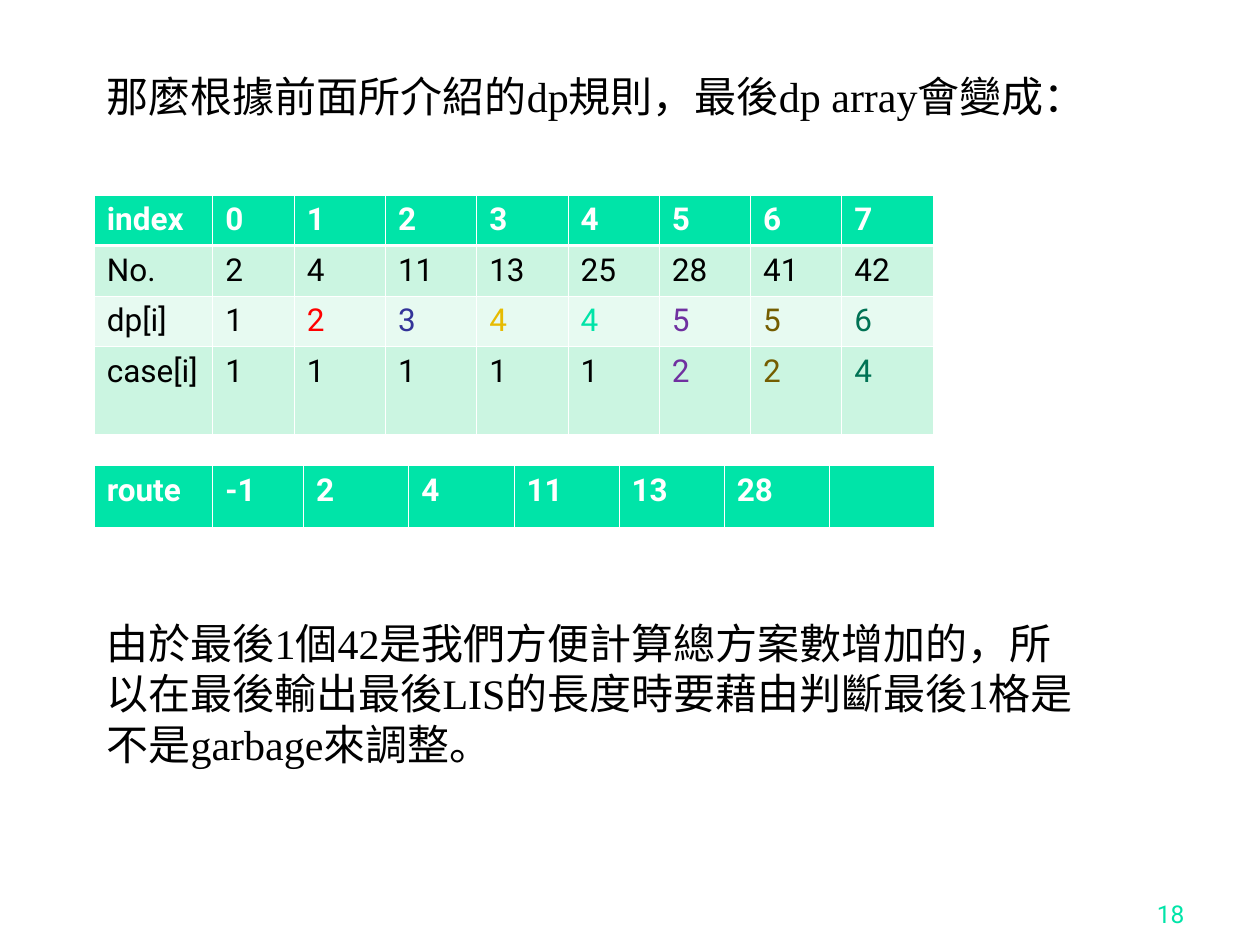
from pptx import Presentation
from pptx import util as u
from pptx.dml import color
from pptx.enum import text
from pptx.oxml import ns
from lxml import etree


class Theme:
    serif, sans = "Times New Roman", "Roboto"
    body, cell, small = 24, 18, 14
    black, white, green = "000000", "FFFFFF", "00E4A8"
    band, band_light = "CBF5E1", "E7FAF1"
    red, blue, gold = "FF0000", "333399", "E7BB01"
    purple, brown, teal = "7030A0", "745D00", "007254"
    thin, thick = 0.45, 1.47


def write(p, words, face, size, rgb, bold=False):
    p.text = words
    f = p.font
    f.name, f.size, f.bold = face, u.Pt(size), bold
    f.color.rgb = color.RGBColor.from_string(rgb)


def make_table(slide, top, widths, heights, rows, fills, inks):
    gf = slide.shapes.add_table(len(rows), len(widths), left, u.Cm(top),
                                u.Cm(sum(widths)), u.Cm(sum(heights)))
    table = gf.table
    for column, width in zip(table.columns, widths):
        column.width = u.Cm(width)
    for i, (row, height) in enumerate(zip(rows, heights)):
        table.rows[i].height = u.Cm(height)
        for j, words in enumerate(row):
            cell = table.cell(i, j)
            # The line under the header row is thicker
            tc_pr = cell._tc.get_or_add_tcPr()
            for side in "LRTB":
                heavy = (side, i) in (("B", 0), ("T", 1))
                width = Theme.thick if heavy else Theme.thin
                ln = etree.SubElement(tc_pr, ns.qn(f"a:ln{side}"), w=str(u.Pt(width)))
                line_fill = etree.SubElement(ln, ns.qn("a:solidFill"))
                etree.SubElement(line_fill, ns.qn("a:srgbClr"), val=Theme.white)
            cell.fill.solid()
            cell.fill.fore_color.rgb = color.RGBColor.from_string(fills[i])
            ink = Theme.white if i == 0 else inks.get((i, j), Theme.black)
            write(cell.text_frame.paragraphs[0], words, Theme.sans, Theme.cell, ink, i == 0)


prs = Presentation()
prs.slide_width, prs.slide_height = u.Cm(25.4), u.Cm(19.05)
s = prs.slides.add_slide(prs.slide_layouts[5])
left = u.Cm(1.9)

# Title
sp = s.shapes.title
sp.left, sp.top, sp.width, sp.height = left, u.Cm(1.4), u.Cm(21.8), u.Cm(2.13)
tf = sp.text_frame
tf.vertical_anchor = text.MSO_ANCHOR.TOP
p = tf.paragraphs[0]
p.alignment = text.PP_ALIGN.LEFT
p.line_spacing = 0.9
write(p, "那麼根據前面所介紹的dp規則，最後dp array會變成：", Theme.serif, Theme.body, Theme.black)

# Table of dp values; matching colours link dp[i] and case[i]
dp_inks = [Theme.red, Theme.blue, Theme.gold, Theme.green,
           Theme.purple, Theme.brown, Theme.teal]
inks = {(2, j): ink for j, ink in enumerate(dp_inks, 2)}
inks.update({(3, j): inks[2, j] for j in (6, 7, 8)})
make_table(
    s, 3.93, [2.39, 1.64] + [1.84] * 7, [1.02, 1.02, 1.02, 1.76],
    [["index", *"01234567"],
     ["No.", "2", "4", "11", "13", "25", "28", "41", "42"],
     ["dp[i]", *"12344556"],
     ["case[i]", *"11111224"]],
    [Theme.green, Theme.band, Theme.band_light, Theme.band], inks)

# Table of the route
make_table(s, 9.39, [2.39, 1.83] + [2.12] * 6, [1.25],
           [["route", "-1", "2", "4", "11", "13", "28", ""]], [Theme.green], {})

# Closing remark
tf = s.shapes.add_textbox(left, u.Cm(12.32), u.Cm(20.19), u.Cm(3.3)).text_frame
tf.word_wrap = True
write(tf.paragraphs[0],
      "由於最後1個42是我們方便計算總方案數增加的，所以在最後輸出最後LIS的長度時"
      "要藉由判斷最後1格是不是garbage來調整。",
      Theme.serif, Theme.body, Theme.black)

# Slide number
tf = s.shapes.add_textbox(u.Cm(18.85), u.Cm(17.58), u.Cm(5.28), u.Cm(1.27)).text_frame
tf.word_wrap = True
tf.vertical_anchor = text.MSO_ANCHOR.BOTTOM
p = tf.paragraphs[0]
p.alignment = text.PP_ALIGN.RIGHT
write(p, "18", Theme.sans, Theme.small, Theme.green)

prs.save("out.pptx")
